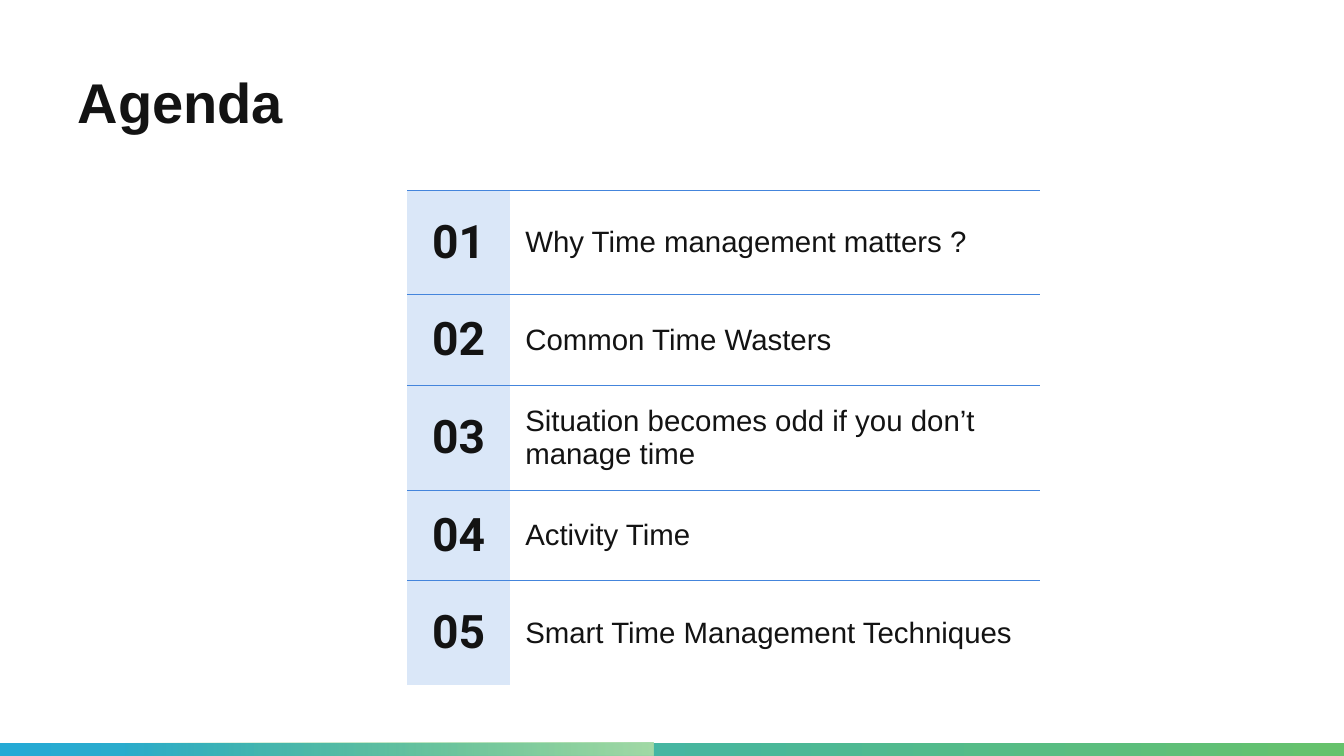
"""Build the agenda slide: a title, a numbered table and a gradient footer."""
from dataclasses import dataclass

from lxml import etree
from pptx import Presentation
from pptx import util as u
from pptx.dml.color import RGBColor
from pptx.enum import shapes, text
from pptx.oxml.ns import qn

WIDTH, HEIGHT = u.Inches(13.33), u.Inches(7.5)
INK, LINE, TINT = "131313", "4485DC", "DAE7F8"
NO_STYLE = "{2D5ABB26-0587-4C30-8999-92F81FD0307C}"
TALL, SHORT = 13.84, 12


@dataclass
class Item:
    topic: str
    height: float


@dataclass
class Bar:
    width: float
    start: str
    end: str
    start_at: float = 0
    clear_start: bool = False


ITEMS = [
    Item("Why Time management matters ?", TALL),
    Item("Common Time Wasters", SHORT),
    Item("Situation becomes odd if you don’t manage time", TALL),
    Item("Activity Time", SHORT),
    Item("Smart Time Management Techniques", TALL),
]
BARS = [
    Bar(100, "25AAD5", "66C26C"),
    Bar(48.6, "66C26C", "A3DAA7", 0.19, True),
]


def across(percent: float) -> int:
    """Return a share of the slide's width."""
    return u.Emu(round(WIDTH * percent / 100))


def down(percent: float) -> int:
    """Return a share of the slide's height."""
    return u.Emu(round(HEIGHT * percent / 100))


def rgb(value: str) -> RGBColor:
    """Turn a hex string into a colour."""
    return RGBColor.from_string(value)


def style(p, font: str, size: float, bold: bool, align) -> None:
    """Set the font and alignment of a paragraph."""
    p.alignment = align
    p.font.name, p.font.size, p.font.bold = font, u.Pt(size), bold
    p.font.color.rgb = rgb(INK)


def add_bar(slide, bar: Bar) -> None:
    """Draw one gradient bar along the bottom edge."""
    sp = slide.shapes.add_shape(shapes.MSO_SHAPE.RECTANGLE, 0, down(98.27),
                                across(bar.width), down(1.73))
    sp.shadow.inherit = False
    sp.line.fill.background()
    sp.fill.gradient()
    sp.fill.gradient_angle = 0
    first, last = sp.fill.gradient_stops
    first.color.rgb, last.color.rgb = rgb(bar.start), rgb(bar.end)
    first.position, last.position = bar.start_at, 1
    if bar.clear_start:
        color = next(sp._element.iter(qn("a:srgbClr")))
        etree.SubElement(color, qn("a:alpha"), val="0")


def add_title(slide, words: str) -> None:
    """Place and format the slide title."""
    sp = slide.shapes.title
    sp.left, sp.top = across(5.03), down(9.33)
    sp.width, sp.height = across(34.6), down(45.7)
    tf = sp.text_frame
    tf.text = words
    tf.word_wrap, tf.auto_size = True, text.MSO_AUTO_SIZE.NONE
    tf.vertical_anchor = text.MSO_ANCHOR.TOP
    p = tf.paragraphs[0]
    p.line_spacing = 0.9
    style(p, "Arial", 40, True, text.PP_ALIGN.LEFT)


def rule_above(cell) -> None:
    """Draw a thin line along the top of a cell."""
    ln = etree.Element(qn("a:lnT"), w=str(u.Pt(0.5)))
    fill = etree.SubElement(ln, qn("a:solidFill"))
    etree.SubElement(fill, qn("a:srgbClr"), val=LINE)
    cell._tc.get_or_add_tcPr().insert(0, ln)


def fill_cell(cell, words: str, font: str, size: float, bold: bool, align) -> None:
    """Write one table cell."""
    cell.text = words
    cell.vertical_anchor = text.MSO_ANCHOR.MIDDLE
    cell.margin_left = cell.margin_right = u.Inches(0.15)
    cell.margin_top = cell.margin_bottom = u.Inches(0.15)
    style(cell.text_frame.paragraphs[0], font, size, bold, align)
    rule_above(cell)


def add_agenda(slide, items: list[Item]) -> None:
    """Draw the table of numbered topics."""
    widths = [across(7.65), across(39.46)]
    frame = slide.shapes.add_table(len(items), 2, across(30.31), down(25.13), sum(widths),
                                   down(sum(item.height for item in items)))
    table = frame.table
    table.first_row = table.horz_banding = False
    next(frame._element.iter(qn("a:tableStyleId"))).text = NO_STYLE
    for column, width in zip(table.columns, widths):
        column.width = width
    for i, item in enumerate(items):
        table.rows[i].height = down(item.height)
        number, topic = table.cell(i, 0), table.cell(i, 1)
        fill_cell(number, f"{i + 1:02}", "Roboto", 33, True, text.PP_ALIGN.CENTER)
        number.fill.solid()
        number.fill.fore_color.rgb = rgb(TINT)
        fill_cell(topic, item.topic, "Arial", 21, False, text.PP_ALIGN.LEFT)
        topic.fill.background()


def main() -> None:
    """Build and save the slide."""
    prs = Presentation()
    prs.slide_width, prs.slide_height = WIDTH, HEIGHT
    slide = prs.slides.add_slide(prs.slide_layouts[5])
    for bar in BARS:
        add_bar(slide, bar)
    add_title(slide, "Agenda")
    add_agenda(slide, ITEMS)
    prs.save("out.pptx")


if __name__ == "__main__":
    main()
